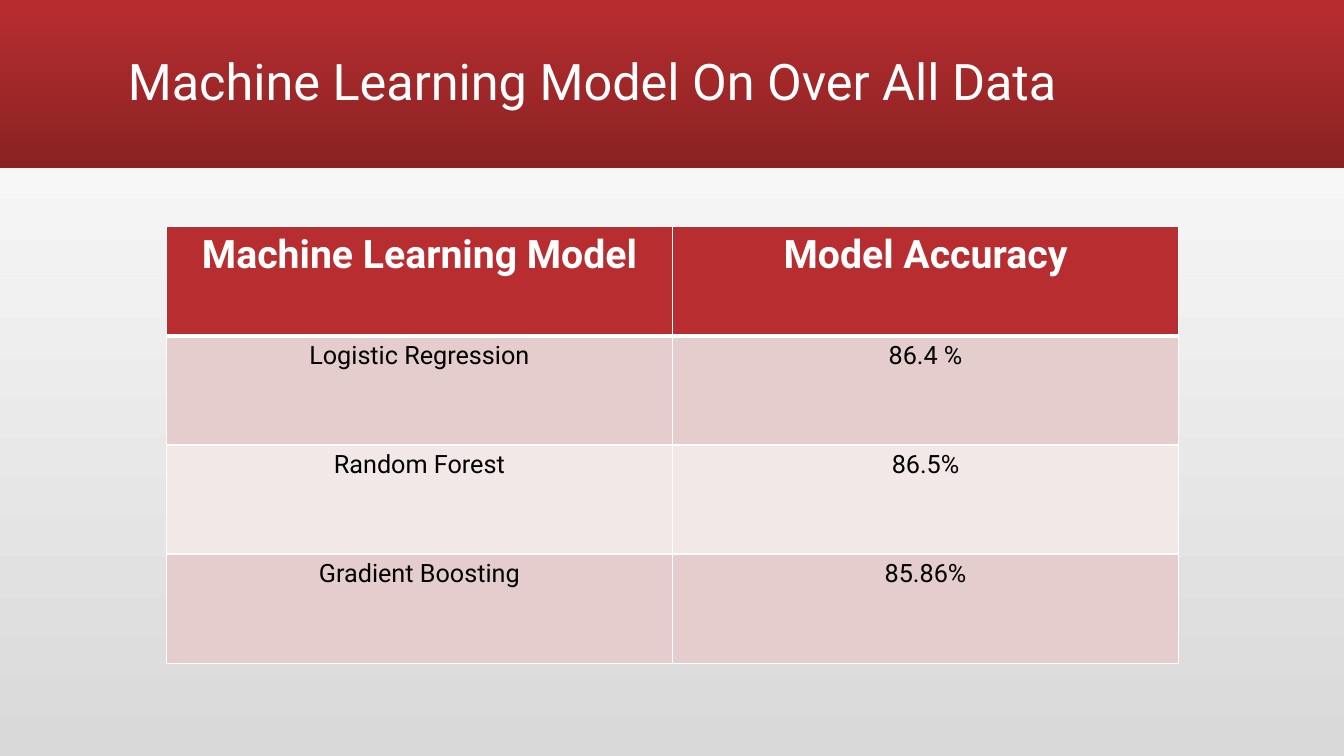
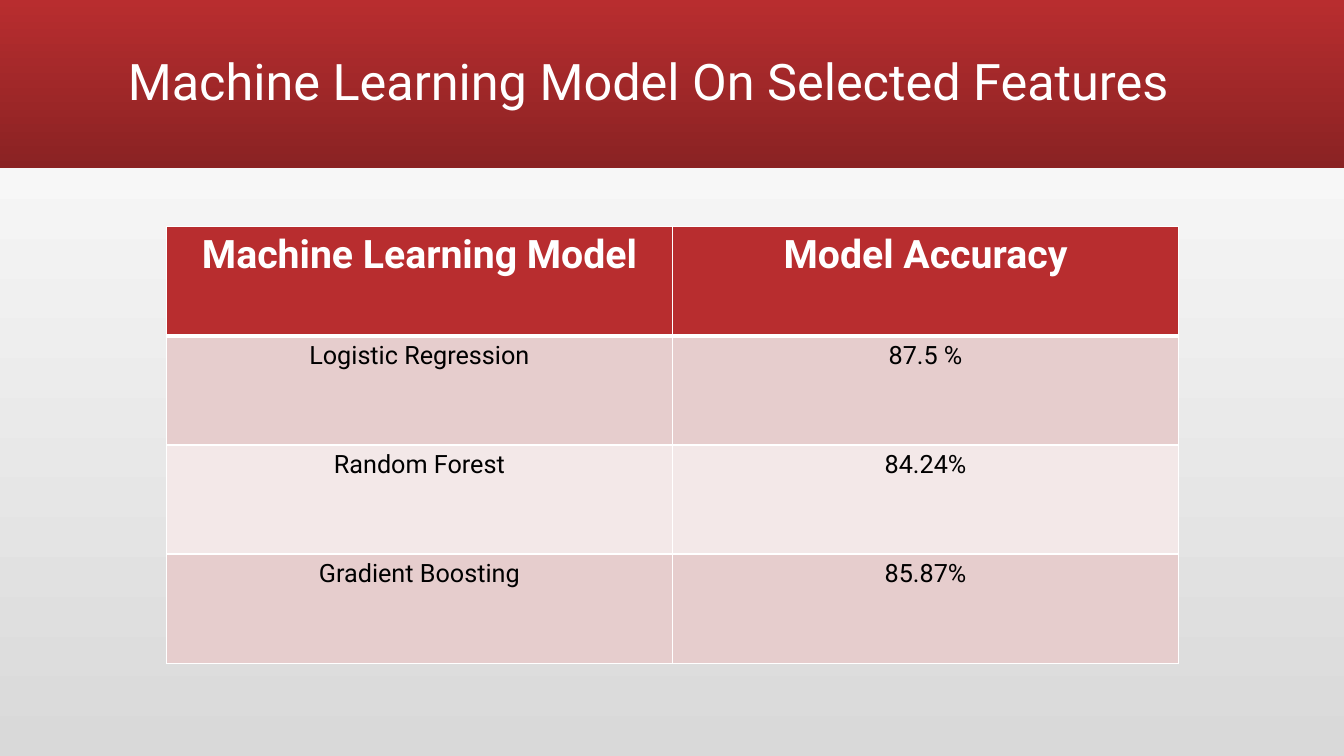
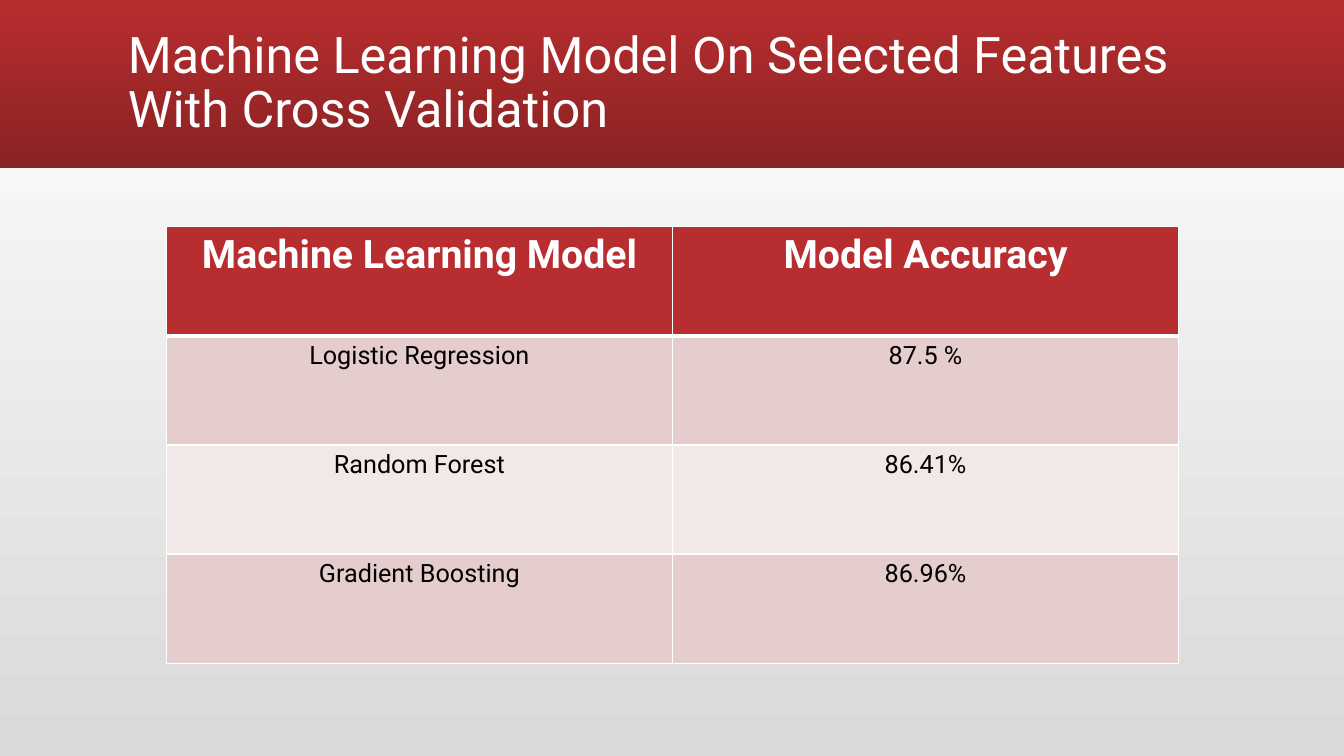
from lxml import etree
from pptx import Presentation
from pptx.dml.color import RGBColor
from pptx.enum.shapes import MSO_SHAPE
from pptx.enum.text import MSO_ANCHOR, PP_ALIGN
from pptx.oxml.ns import qn
from pptx.util import Inches, Pt

RECT = MSO_SHAPE.RECTANGLE
MIDDLE = MSO_ANCHOR.MIDDLE
LEFT, CENTER = PP_ALIGN.LEFT, PP_ALIGN.CENTER

FONT = "Roboto"
WHITE, BLACK = "FFFFFF", "000000"
RED, DARK = "B82D2F", "8A2223"
GREY = "D9D9D9"
ROSE, PALE = "E6CDCD", "F3E8E8"

WIDE, HIGH = 13.33, 7.5
BAND = (0, 0, WIDE, 1.67)
TITLE = (1.17, 0.11, 11, 1.45)
GRID = (1.65, 2.25, 10.04, 4.33)

HEAD = ("Machine Learning Model", "Model Accuracy")
MODELS = ("Logistic Regression", "Random Forest", "Gradient Boosting")
PAGES = [
    ("Machine Learning Model On Over All Data",
     ("86.4 %", "86.5%", "85.86%")),
    ("Machine Learning Model On Selected Features",
     ("87.5 %", "84.24%", "85.87%")),
    ("Machine Learning Model On Selected Features With Cross Validation",
     ("87.5 %", "86.41%", "86.96%")),
]


def color(code):
    """Turn a hex string into a colour."""
    return RGBColor.from_string(code)


def place(box):
    """Turn a box in inches into lengths."""
    return [Inches(side) for side in box]


def blend(fill, codes, angle):
    """Fill with a two-stop gradient, the angle counted anticlockwise."""
    fill.gradient()
    fill.gradient_angle = angle
    for stop, code in zip(fill.gradient_stops, codes):
        stop.color.rgb = color(code)


def write(frame, text, size, code, align=LEFT, bold=False):
    """Write one run into the first paragraph and return the paragraph."""
    para = frame.paragraphs[0]
    para.alignment = align
    run = para.add_run()
    run.text = text
    font = run.font
    font.name, font.size, font.bold = FONT, Pt(size), bold
    font.color.rgb = color(code)
    return para


def edge(cell, side, width):
    """Draw one white border of a cell."""
    line = etree.SubElement(cell._tc.get_or_add_tcPr(), qn("a:ln" + side),
                            w=str(Pt(width)))
    fill = etree.SubElement(line, qn("a:solidFill"))
    etree.SubElement(fill, qn("a:srgbClr"), val=WHITE)


def add_band(slide, box):
    """Add the red band along the top."""
    band = slide.shapes.add_shape(RECT, *place(box))
    band.shadow.inherit = False
    band.line.fill.background()
    blend(band.fill, (RED, DARK), 270)


def add_title(slide, box, text):
    """Add the title, centred in height in its box."""
    frame = slide.shapes.add_textbox(*place(box)).text_frame
    frame.word_wrap = True
    frame.vertical_anchor = MIDDLE
    write(frame, text, 36, WHITE).line_spacing = 0.9


def add_grid(slide, box, rows):
    """Add the table of accuracies with equal rows and columns."""
    table = slide.shapes.add_table(len(rows), len(HEAD), *place(box)).table
    for col in table.columns:
        col.width = Inches(box[2] / len(HEAD))
    for i, row in enumerate(rows):
        table.rows[i].height = Inches(box[3] / len(rows))
        for j, text in enumerate(row):
            cell = table.cell(i, j)
            for side in "LR":
                edge(cell, side, 1)
            edge(cell, "T", 3 if i == 1 else 1)
            edge(cell, "B", 3 if i == 0 else 1)
            cell.fill.solid()
            if i == 0:
                cell.fill.fore_color.rgb = color(RED)
                write(cell.text_frame, text, 28, WHITE, CENTER, True)
            else:
                cell.fill.fore_color.rgb = color(ROSE if i % 2 else PALE)
                write(cell.text_frame, text, 18, BLACK, CENTER)


def add_page(deck, title, scores):
    """Add one slide with band, title and table."""
    slide = deck.slides.add_slide(deck.slide_layouts[6])
    blend(slide.background.fill, (GREY, WHITE), 90)
    add_band(slide, BAND)
    add_title(slide, TITLE, title)
    add_grid(slide, GRID, [HEAD, *zip(MODELS, scores)])


def main():
    """Build and save the deck."""
    deck = Presentation()
    deck.slide_width, deck.slide_height = Inches(WIDE), Inches(HIGH)
    for title, scores in PAGES:
        add_page(deck, title, scores)
    deck.save("out.pptx")


if __name__ == "__main__":
    main()
